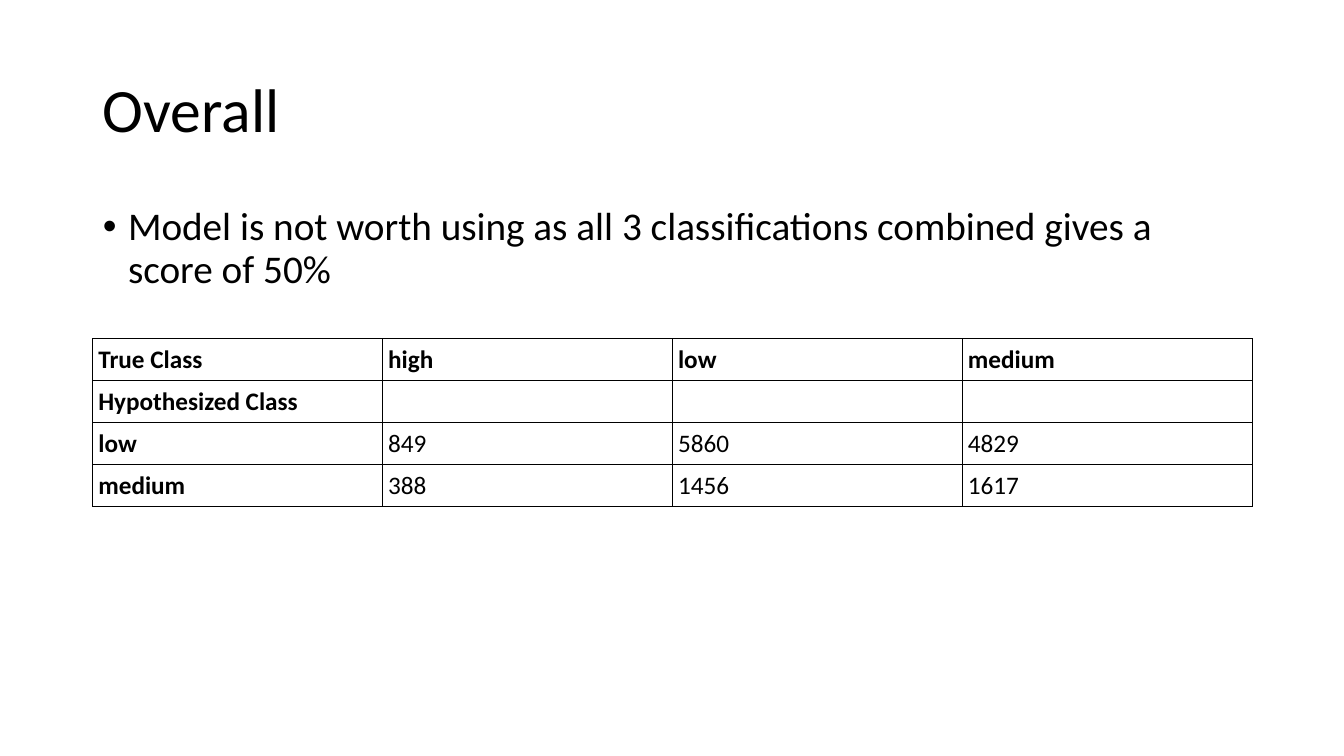
import pptx
import pptx.dml.color
import pptx.enum.text
import pptx.oxml
import pptx.oxml.ns
import pptx.util

BLACK = pptx.dml.color.RGBColor(0x00, 0x00, 0x00)
WHITE = pptx.dml.color.RGBColor(0xFF, 0xFF, 0xFF)

CONFUSION_ROWS = [
    ["True Class", "high", "low", "medium"],
    ["Hypothesized Class", "", "", ""],
    ["low", "849", "5860", "4829"],
    ["medium", "388", "1456", "1617"],
]


class SlideBuilder:
    """Holds the style and the current slide; lengths are grid columns and rows."""

    font_name = "Calibri"
    left_margin = pptx.util.Inches(0.92)
    column_width = pptx.util.Inches(2.875)
    row_height = pptx.util.Inches(0.41)
    column_count = 4
    cell_inset = pptx.util.Pt(4)

    def __init__(self, presentation):
        self.height = presentation.slide_height
        self.slide = presentation.slides.add_slide(presentation.slide_layouts[1])

    def place(self, shape, top, height):
        """Span all columns; top and height are shares of the slide height."""
        shape.left, shape.top = self.left_margin, round(top * self.height)
        shape.width = self.column_width * self.column_count
        shape.height = round(height * self.height)

    def style(self, paragraph, size, bold=False):
        paragraph.alignment = pptx.enum.text.PP_ALIGN.LEFT
        font = paragraph.font
        font.name, font.size, font.bold = self.font_name, pptx.util.Pt(size), bold
        font.color.rgb = BLACK

    def fill_placeholder(self, shape, text, size, anchor):
        frame = shape.text_frame
        frame.text = text
        frame.word_wrap = True
        frame.auto_size = pptx.enum.text.MSO_AUTO_SIZE.NONE
        frame.vertical_anchor = anchor
        paragraph = frame.paragraphs[0]
        self.style(paragraph, size)
        paragraph.line_spacing = 0.9
        return paragraph

    def title(self, text, top, height):
        shape = self.slide.shapes.title
        self.place(shape, top, height)
        paragraph = self.fill_placeholder(
            shape, text, 44, pptx.enum.text.MSO_ANCHOR.MIDDLE)
        paragraph.space_before = pptx.util.Pt(0)

    def bullet(self, text, top, height):
        shape = self.slide.placeholders[1]
        self.place(shape, top, height)
        paragraph = self.fill_placeholder(
            shape, text, 28, pptx.enum.text.MSO_ANCHOR.TOP)
        paragraph.space_before = pptx.util.Pt(10)
        properties = paragraph._p.get_or_add_pPr()
        indent = pptx.util.Inches(0.25)
        properties.set("marL", str(indent))
        properties.set("indent", str(-indent))

    def cell_borders(self, cell):
        properties = cell._tc.get_or_add_tcPr()
        for index, side in enumerate(("lnL", "lnR", "lnT", "lnB")):
            line = pptx.oxml.parse_xml(
                f'<a:{side} {pptx.oxml.ns.nsdecls("a")} w="{pptx.util.Pt(1)}">'
                f'<a:solidFill><a:srgbClr val="{BLACK}"/></a:solidFill></a:{side}>')
            properties.insert(index, line)

    def table(self, rows, top):
        shape = self.slide.shapes.add_table(
            len(rows), self.column_count, self.left_margin,
            round(top * self.height), self.column_width * self.column_count,
            self.row_height * len(rows))
        table = shape.table
        table.first_row = table.horz_banding = False
        for row_index, row in enumerate(rows):
            for column_index, text in enumerate(row):
                cell = table.cell(row_index, column_index)
                cell.text = text
                cell.vertical_anchor = pptx.enum.text.MSO_ANCHOR.MIDDLE
                cell.margin_left = cell.margin_right = self.cell_inset
                cell.margin_top = cell.margin_bottom = self.cell_inset
                cell.fill.solid()
                cell.fill.fore_color.rgb = WHITE
                self.cell_borders(cell)
                is_header = row_index == 0 or column_index == 0
                self.style(cell.text_frame.paragraphs[0], 18, is_header)


def main():
    presentation = pptx.Presentation()
    presentation.slide_width = pptx.util.Inches(13.33)
    presentation.slide_height = pptx.util.Inches(7.5)
    builder = SlideBuilder(presentation)

    # Heading and conclusion
    builder.title("Overall", top=0.053, height=0.193)
    builder.bullet(
        "Model is not worth using as all 3 classifications combined gives a score of 50%",
        top=0.267, height=0.635)

    # Confusion matrix
    builder.table(CONFUSION_ROWS, top=0.448)

    presentation.save("out.pptx")


if __name__ == "__main__":
    main()
